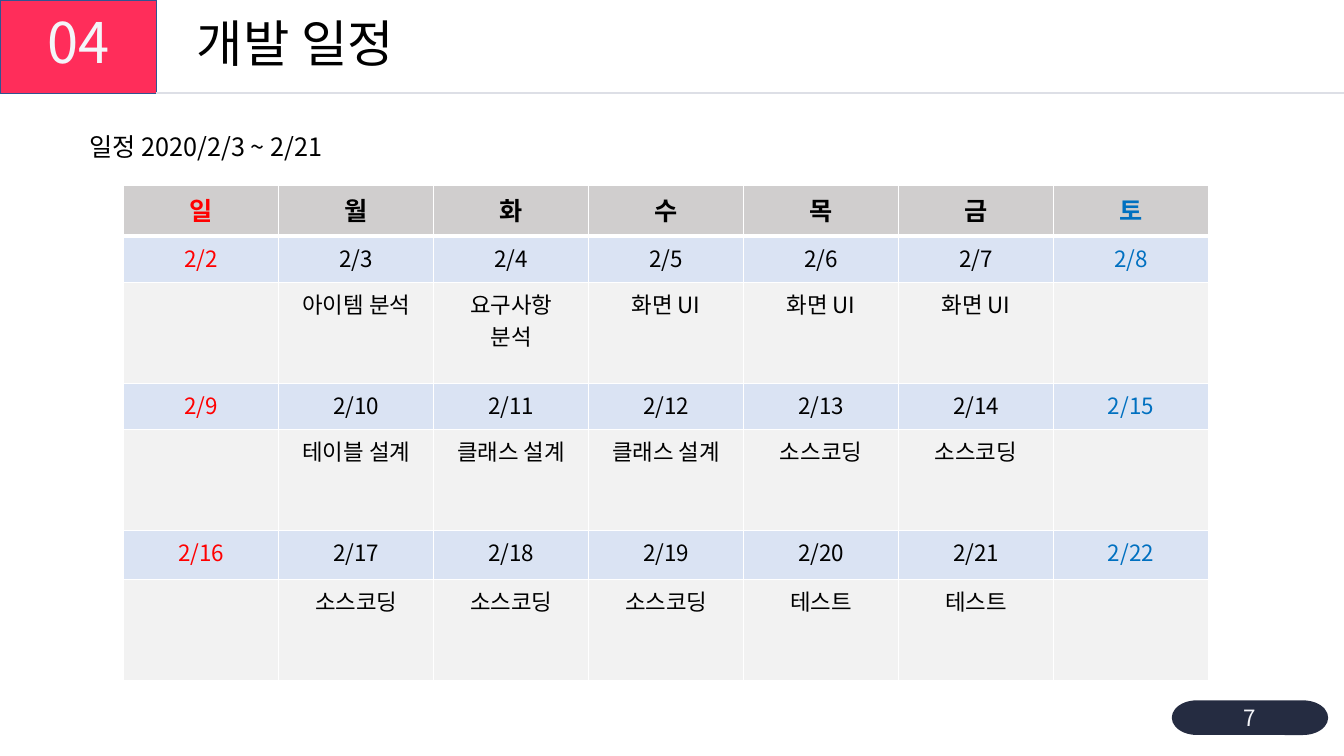
"""Builds the development schedule slide with a three-week calendar table."""
from dataclasses import dataclass

from lxml import etree
from pptx import Presentation
from pptx.dml.color import RGBColor
from pptx.enum.shapes import MSO_CONNECTOR, MSO_SHAPE
from pptx.enum.text import MSO_ANCHOR, MSO_AUTO_SIZE, PP_ALIGN
from pptx.oxml.ns import qn
from pptx.util import Pt

LEFT, CENTER = PP_ALIGN.LEFT, PP_ALIGN.CENTER
TOP, MIDDLE = MSO_ANCHOR.TOP, MSO_ANCHOR.MIDDLE
NO_AUTOFIT = MSO_AUTO_SIZE.NONE
STRAIGHT = MSO_CONNECTOR.STRAIGHT
PROCESS = MSO_SHAPE.FLOWCHART_PROCESS
TERMINATOR = MSO_SHAPE.FLOWCHART_TERMINATOR

SECTION = "04"
TITLE = "개발 일정"
PERIOD = "일정 2020/2/3 ~ 2/21"
PAGE = "7"
WEEKDAYS = ["일", "월", "화", "수", "목", "금", "토"]
MONTH, FIRST_DAY = 2, 2
WEEKLY_TASKS = [
    ["", "아이템 분석", "요구사항\n분석", "화면 UI", "화면 UI", "화면 UI", ""],
    ["", "테이블 설계", "클래스 설계", "클래스 설계", "소스코딩", "소스코딩", ""],
    ["", "소스코딩", "소스코딩", "소스코딩", "테스트", "테스트", ""],
]

PX = 9525
SLIDE_SIZE = (1280, 720)
BADGE_BOX = (0, 0, 149, 89)
PILL_BOX = (1116, 667, 149, 33)
TITLE_BOX = (178, 12, 677, 64)
SECTION_BOX = (-1, 12, 151, 71)
PAGE_BOX = (1151, 669, 79, 28)
PERIOD_BOX = (76, 120, 427, 40)
CALENDAR_BOX = (118, 177, 1033, 471)
ROW_HEIGHTS = [48, 44, 96, 44, 96, 47, 96]


@dataclass(frozen=True)
class Theme:
    """Colours, type sizes and line widths of the slide."""
    font: str = "Noto Sans CJK KR"
    text: str = "000000"
    light: str = "F4F5F9"
    badge: str = "FF2D5A"
    badge_line: str = "325491"
    rule: str = "DDDFE6"
    pill: str = "252C41"
    sunday: str = "FF0000"
    saturday: str = "0070C0"
    header_fill: str = "D0CECE"
    date_fill: str = "DAE3F3"
    task_fill: str = "F2F2F2"
    grid: str = "FFFFFF"
    section_size: int = 40
    title_size: int = 36
    lead_size: int = 18
    base_size: int = 16
    grid_width: int = 1
    header_rule_width: int = 3


THEME = Theme()


def emu(box):
    return [round(length * PX) for length in box]


def write(frame, text, size, color, align=LEFT, bold=False, spacing=None):
    for index, line in enumerate(text.split("\n")):
        paragraph = frame.add_paragraph() if index else frame.paragraphs[0]
        paragraph.alignment = align
        if spacing:
            paragraph.line_spacing = spacing
            paragraph.space_before = Pt(0)
        run = paragraph.add_run()
        run.text = line
        run.font.name = THEME.font
        run.font.size = Pt(size)
        run.font.bold = bold
        run.font.color.rgb = RGBColor.from_string(color)
        east_asian = etree.SubElement(run.font._element, qn("a:ea"))
        east_asian.set("typeface", THEME.font)


def add_block(slide, preset, box, fill, outline=None):
    block = slide.shapes.add_shape(preset, *emu(box))
    block.shadow.inherit = False
    block.fill.solid()
    block.fill.fore_color.rgb = RGBColor.from_string(fill)
    if outline:
        block.line.color.rgb = RGBColor.from_string(outline)
        block.line.width = Pt(1)
    else:
        block.line.fill.background()


def add_rule(slide):
    _, _, start, y = BADGE_BOX
    rule = slide.shapes.add_connector(STRAIGHT, *emu((start, y, SLIDE_SIZE[0], y)))
    rule.line.color.rgb = RGBColor.from_string(THEME.rule)
    rule.line.width = Pt(1.5)
    etree.SubElement(rule.element.spPr, qn("a:effectLst"))


def add_label(slide, box, text, size, color, align, anchor):
    label = slide.shapes.add_textbox(*emu(box))
    label.text_frame.word_wrap = True
    label.text_frame.vertical_anchor = anchor
    write(label.text_frame, text, size, color, align)


def fill_placeholder(slide, placeholder, box, text, size, color, align):
    placeholder.left, placeholder.top, placeholder.width, placeholder.height = emu(box)
    frame = placeholder.text_frame
    frame.auto_size = NO_AUTOFIT
    frame.vertical_anchor = MIDDLE
    write(frame, text, size, color, align, spacing=0.9)
    slide.shapes._spTree.append(placeholder.element)
    return frame


def add_section(slide):
    frame = fill_placeholder(slide, slide.placeholders[1], SECTION_BOX, SECTION,
                             THEME.section_size, THEME.light, CENTER)
    frame.margin_left = frame.margin_right = frame.margin_top = 0
    frame.margin_bottom = 8 * PX
    properties = frame.paragraphs[0]._p.get_or_add_pPr()
    properties.set("marL", "0")
    properties.set("indent", "0")
    etree.SubElement(properties, qn("a:buNone"))


def set_borders(cell, top, bottom):
    properties = cell._tc.get_or_add_tcPr()
    widths = {"L": THEME.grid_width, "R": THEME.grid_width, "T": top, "B": bottom}
    for side, width in widths.items():
        border = etree.SubElement(properties, qn(f"a:ln{side}"), w=str(Pt(width)))
        solid = etree.SubElement(border, qn("a:solidFill"))
        etree.SubElement(solid, qn("a:srgbClr"), val=THEME.grid)


def calendar_rows():
    rows = [(WEEKDAYS, THEME.header_fill)]
    for week, tasks in enumerate(WEEKLY_TASKS):
        first = FIRST_DAY + week * len(WEEKDAYS)
        dates = [f"{MONTH}/{first + day}" for day in range(len(WEEKDAYS))]
        rows += [(dates, THEME.date_fill), (tasks, THEME.task_fill)]
    return rows


def add_calendar(slide):
    rows = calendar_rows()
    calendar = slide.shapes.add_table(len(rows), len(WEEKDAYS), *emu(CALENDAR_BOX)).table
    for row, height in zip(calendar.rows, ROW_HEIGHTS):
        row.height = height * PX
    day_colors = [THEME.sunday] + [THEME.text] * 5 + [THEME.saturday]
    for r, (texts, fill) in enumerate(rows):
        header = r == 0
        size = THEME.lead_size if header else THEME.base_size
        top = THEME.header_rule_width if r == 1 else THEME.grid_width
        bottom = THEME.header_rule_width if header else THEME.grid_width
        for c, (text, color) in enumerate(zip(texts, day_colors)):
            cell = calendar.cell(r, c)
            set_borders(cell, top, bottom)
            cell.fill.solid()
            cell.fill.fore_color.rgb = RGBColor.from_string(fill)
            if text:
                write(cell.text_frame, text, size, color, CENTER, bold=header)


def main():
    deck = Presentation()
    deck.slide_width, deck.slide_height = emu(SLIDE_SIZE)
    slide = deck.slides.add_slide(deck.slide_layouts[1])
    add_block(slide, PROCESS, BADGE_BOX, THEME.badge, THEME.badge_line)
    add_rule(slide)
    add_block(slide, TERMINATOR, PILL_BOX, THEME.pill)
    fill_placeholder(slide, slide.shapes.title, TITLE_BOX, TITLE,
                     THEME.title_size, THEME.text, LEFT)
    add_label(slide, PAGE_BOX, PAGE, THEME.base_size, THEME.light, CENTER, MIDDLE)
    add_calendar(slide)
    add_label(slide, PERIOD_BOX, PERIOD, THEME.lead_size, THEME.text, LEFT, TOP)
    add_section(slide)
    deck.save("out.pptx")


if __name__ == "__main__":
    main()
